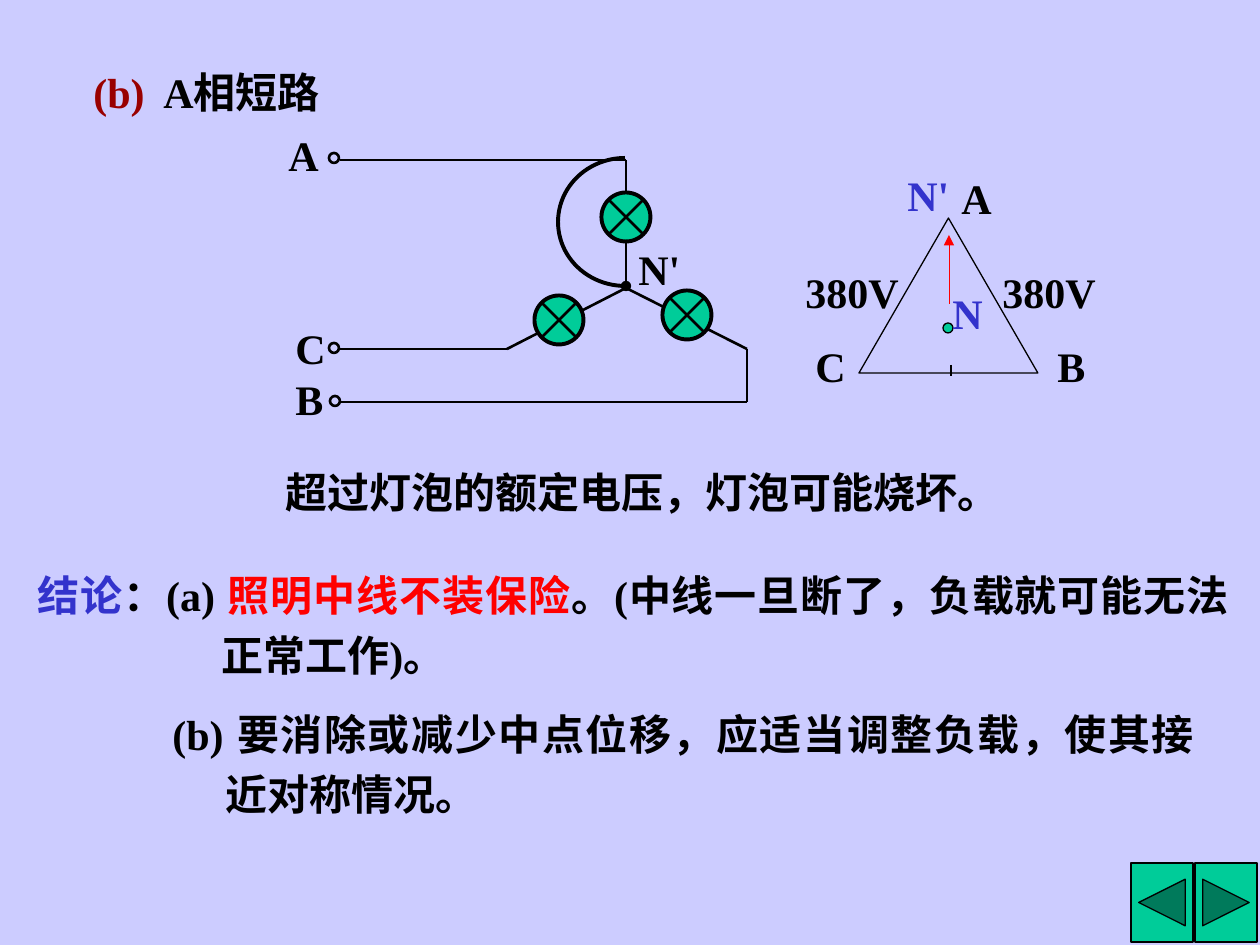
from pptx import Presentation
from pptx import util as u
from pptx.dml.color import RGBColor
from pptx.enum import shapes, text
from pptx.oxml.ns import qn
from lxml import etree

PX = 914400 / 126
FONT = "Times New Roman"
COLORS = {"back": "CCCCFF", "ink": "000000", "lamp": "00CC99",
          "blue": "3333CC", "red": "FF0000", "dark red": "990000"}
KIND = shapes.MSO_SHAPE

# Text: left, top, width, height, spans
LABELS = [
    (793, 260, 126, 63, [("380V", "ink")]),
    (990, 260, 126, 63, [("380V", "ink")]),
    (949, 166, 55, 63, [("A", "ink")]),
    (1045, 334, 53, 63, [("B", "ink")]),
    (803, 334, 55, 63, [("C", "ink")]),
    (895, 163, 67, 63, [("N'", "blue")]),
    (940, 281, 55, 63, [("N", "blue")]),
    (276, 123, 55, 63, [("A", "ink")]),
    (283, 316, 55, 63, [("C", "ink")]),
    (283, 367, 53, 63, [("B", "ink")]),
    (626, 237, 67, 63, [("N'", "ink")]),
    (273, 460, 740, 63, [("超过灯泡的额定电压，灯泡可能烧坏。", "ink")]),
]
TITLE = (81, 60, 254, 63, [("(b)", "dark red"), ("  A相短路", "ink")])
# Conclusions: box as above, then hanging indent
CONCLUSIONS = [
    ((25, 553, 1216, 134, [
        ("结论", "blue"), ("：(a) ", "ink"), ("照明中线不装保险", "red"),
        ("。(中线一旦断了，负载就可能无法正常工作)。", "ink")]), 184),
    ((160, 692, 1047, 134, [
        ("(b) 要消除或减少中点位移，应适当调整负载，使其接近对称情况。", "ink")]), 53),
]

# Wires: x1, y1, x2, y2
WIRES = [
    (626, 288, 747, 349), (507, 349, 626, 288),
    (626, 160, 340, 160), (747, 402, 340, 402),
    (747, 349, 747, 402), (507, 349, 340, 349),
]
LAMP_CENTRES = [(626, 217), (687, 315), (559, 320)]
LAMP_RADIUS, CROSS_REACH = 24.5, 17
TERMINAL_CENTRES = [(334, 158), (334, 348), (335, 401)]
BUTTONS = [(KIND.ACTION_BUTTON_BACK_OR_PREVIOUS, 1131),
           (KIND.ACTION_BUTTON_FORWARD_OR_NEXT, 1195)]


def emu(*lengths):
    return [round(length * PX) for length in lengths]


def rgb(name):
    return RGBColor.from_string(COLORS[name])


def add_shape(kind, left, top, width, height, fill=None, weight=0.75):
    shape = page.shapes.add_shape(kind, *emu(left, top, width, height))
    shape.shadow.inherit = False
    if fill:
        shape.fill.solid()
        shape.fill.fore_color.rgb = rgb(fill)
    else:
        shape.fill.background()
    shape.line.color.rgb = rgb("ink")
    shape.line.width = u.Pt(weight)
    return shape


def add_circle(centre, radius, **style):
    x, y = centre
    add_shape(KIND.OVAL, x - radius, y - radius, 2 * radius, 2 * radius, **style)


def add_line(x1, y1, x2, y2, color="ink", weight=1.5, end=None):
    line = page.shapes.add_connector(shapes.MSO_CONNECTOR.STRAIGHT, *emu(x1, y1, x2, y2))
    line.line.color.rgb = rgb(color)
    line.line.width = u.Pt(weight)
    props = line._element.spPr
    if end:
        etree.SubElement(props.get_or_add_ln(), qn("a:tailEnd"), type=end)
    etree.SubElement(props, qn("a:effectLst"))


def add_text(left, top, width, height, spans, wrap=False):
    box = page.shapes.add_textbox(*emu(left, top, width, height))
    box.text_frame.word_wrap = wrap
    para = box.text_frame.paragraphs[0]
    for words, color in spans:
        span = para.add_run()
        span.text = words
        for name, value in {"name": FONT, "size": u.Pt(24), "bold": True}.items():
            setattr(span.font, name, value)
        span.font.color.rgb = rgb(color)
    return para


deck = Presentation()
deck.slide_width, deck.slide_height = emu(1260, 945)
page = deck.slides.add_slide(deck.slide_layouts[6])
page.background.fill.solid()
page.background.fill.fore_color.rgb = rgb("back")

for kind, left in BUTTONS:
    add_shape(kind, left, 863, 62, 79, fill="lamp")

# Voltage triangle
add_shape(KIND.ISOSCELES_TRIANGLE, 859, 218, 179, 155)
add_line(951, 365, 951, 376, weight=0.75)
add_circle((948, 328), 5, fill="lamp")
add_line(949, 304, 949, 235, color="red", weight=0.5, end="triangle")

# Star circuit, phase A bridged by the arc
add_line(626, 160, 626, 286, end="oval")
for wire in WIRES:
    add_line(*wire)
for x, y in LAMP_CENTRES:
    add_circle((x, y), LAMP_RADIUS, fill="lamp", weight=2.25)
    for slope in (1, -1):
        add_line(x - CROSS_REACH, y - slope * CROSS_REACH,
                 x + CROSS_REACH, y + slope * CROSS_REACH)
for centre in TERMINAL_CENTRES:
    add_circle(centre, 5, weight=1.5)
bridge = add_shape(KIND.ARC, 558, 158, 134, 128, weight=2.25)
for index, degrees in enumerate((90, 270)):
    bridge.adjustments[index] = degrees * 0.6

for label in LABELS:
    add_text(*label)
add_text(*TITLE, wrap=True)
for conclusion, hang in CONCLUSIONS:
    para = add_text(*conclusion, wrap=True)
    para.alignment = text.PP_ALIGN.JUSTIFY
    para.line_spacing = 1.2
    indent, = emu(hang)
    props = para._p.get_or_add_pPr()
    props.set("marL", str(indent))
    props.set("indent", str(-indent))

deck.save("out.pptx")
